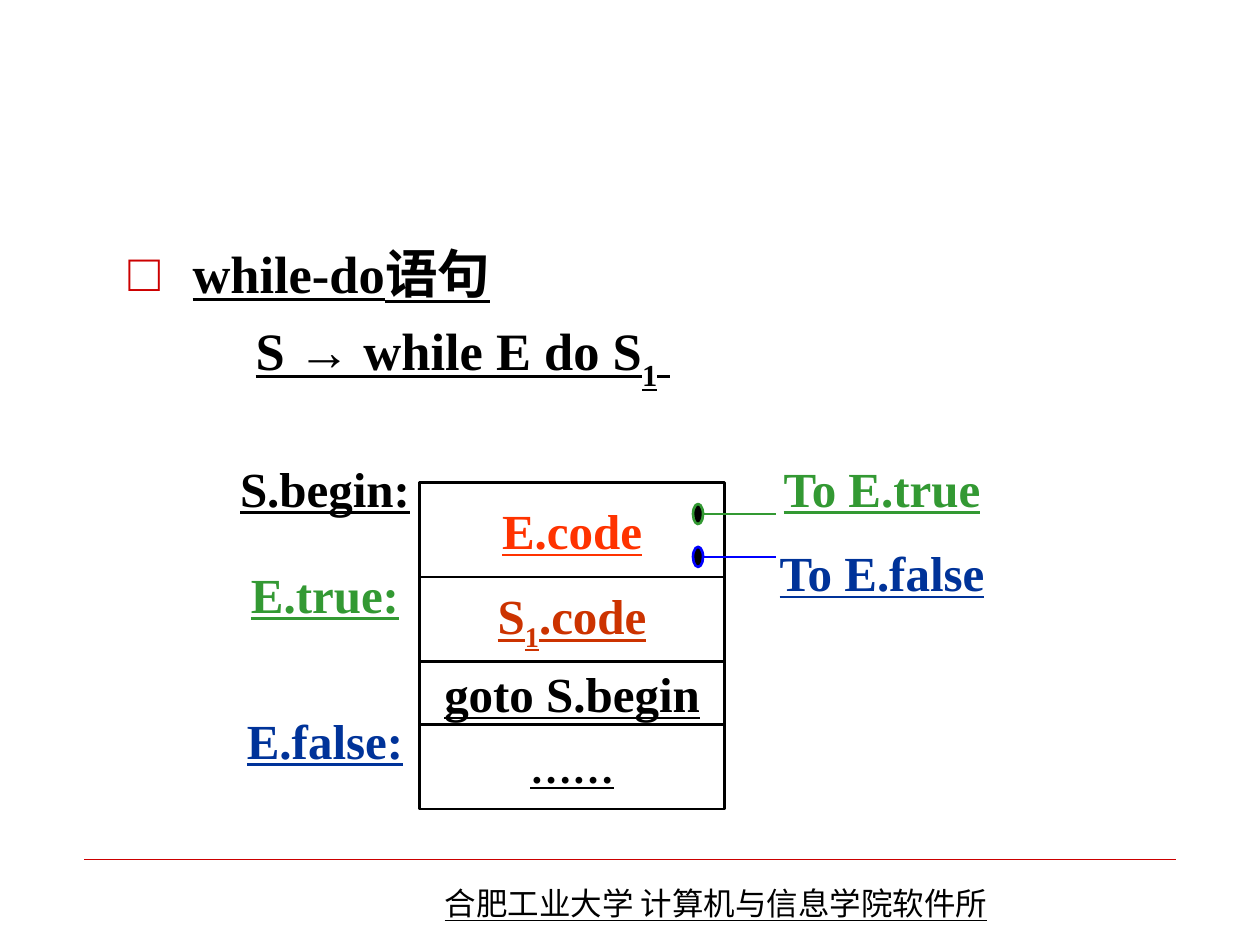
from lxml.etree import SubElement
from pptx import Presentation
from pptx.dml.color import RGBColor
from pptx.enum.shapes import MSO_CONNECTOR, MSO_SHAPE
from pptx.enum.text import MSO_ANCHOR, MSO_AUTO_SIZE, PP_ALIGN
from pptx.oxml.ns import qn
from pptx.util import Inches, Pt

LATIN_FONT = "Times New Roman"
CHINESE_FONT = "Noto Sans CJK SC"
BLACK, RED, GREEN, NAVY, BLUE = "000000", "CC0000", "339933", "003399", "0000FF"


def color(hex_string):
    return RGBColor.from_string(hex_string)


class SlideBuilder:
    def __init__(self, slide):
        self.slide = slide

    def format_paragraph(self, paragraph, size, hex_color, bold=True, font_name=LATIN_FONT):
        font = paragraph.font
        font.size = Pt(size)
        font.bold = bold
        font.underline = True
        font.name = font_name
        font.color.rgb = color(hex_color)
        east_asian = SubElement(font._element, qn("a:ea"))
        east_asian.set("typeface", CHINESE_FONT)

    def add_runs(self, paragraph, parts, subscript=-25):
        """Add text parts in turn; every second part is a subscript."""
        for index, part in enumerate(parts):
            run = paragraph.add_run()
            run.text = part
            if index % 2:
                run.font._element.set("baseline", str(subscript * 1000))

    def center_text(self, shape, parts, size, hex_color):
        frame = shape.text_frame
        frame.word_wrap = True
        frame.margin_left = frame.margin_right = 0
        frame.vertical_anchor = MSO_ANCHOR.MIDDLE
        paragraph = frame.paragraphs[0]
        paragraph.alignment = PP_ALIGN.CENTER
        self.add_runs(paragraph, parts)
        self.format_paragraph(paragraph, size, hex_color)

    def label(self, center, top, text, hex_color):
        width = 1.74
        box = self.slide.shapes.add_textbox(
            Inches(center - width / 2), Inches(top), Inches(width), Inches(0.58))
        self.center_text(box, [text], 28, hex_color)

    def code_block(self, top, height, parts, size, hex_color):
        block = self.slide.shapes.add_shape(
            MSO_SHAPE.RECTANGLE, Inches(3.33), Inches(top), Inches(2.42), Inches(height))
        block.shadow.inherit = False
        block.fill.background()
        block.line.color.rgb = color(BLACK)
        block.line.width = Pt(1.5)
        self.center_text(block, parts, size, hex_color)

    def line(self, shapes, left, right, y, hex_color, width):
        connector = shapes.add_connector(
            MSO_CONNECTOR.STRAIGHT, Inches(left), Inches(y), Inches(right), Inches(y))
        connector.line.color.rgb = color(hex_color)
        connector.line.width = Pt(width)
        SubElement(connector._element.spPr, qn("a:effectLst"))

    def jump(self, y, hex_color):
        """Draw a dot inside the code block with a line leading out of it."""
        shapes = self.slide.shapes.add_group_shape().shapes
        self.line(shapes, 5.58, 6.16, y, hex_color, 1.5)
        dot = shapes.add_shape(
            MSO_SHAPE.OVAL, Inches(5.5), Inches(y - 0.08), Inches(0.08), Inches(0.16))
        dot.shadow.inherit = False
        dot.fill.solid()
        dot.fill.fore_color.rgb = color(BLACK)
        dot.line.color.rgb = color(hex_color)
        dot.line.width = Pt(1.5)

    def statement(self):
        frame = self.slide.shapes.add_textbox(
            Inches(0.92), Inches(1.92), Inches(8.58), Inches(0.75)).text_frame
        frame.word_wrap = True
        heading, production = frame.paragraphs[0], frame.add_paragraph()
        production.space_before = Pt(7.6)
        self.add_runs(heading, ["while-do语句"])
        self.add_runs(production, ["\t\tS → while E do S", "1", " "], subscript=-30)
        for paragraph in (heading, production):
            paragraph.line_spacing = 0.9
            properties = paragraph._p.get_or_add_pPr()
            properties.set("marL", str(Inches(0.51)))
            properties.set("indent", str(-Inches(0.51)))
            if paragraph is heading:
                bullet_color = SubElement(properties, qn("a:buClr"))
                SubElement(bullet_color, qn("a:srgbClr")).set("val", RED)
                SubElement(properties, qn("a:buFont")).set("typeface", LATIN_FONT)
                SubElement(properties, qn("a:buChar")).set("char", "□")
            else:
                SubElement(properties, qn("a:buNone"))
                tabs = SubElement(properties, qn("a:tabLst"))
                tab = SubElement(tabs, qn("a:tab"))
                tab.set("pos", str(Inches(1.51)))
                tab.set("algn", "l")
            self.format_paragraph(paragraph, 30, BLACK)

    def footer(self, text):
        self.line(self.slide.shapes, 0.67, 9.33, 6.82, RED, 0.25)
        frame = self.slide.shapes.add_textbox(
            Inches(3.43), Inches(6.97), Inches(5.04), Inches(0.4)).text_frame
        frame.word_wrap = True
        frame.auto_size = MSO_AUTO_SIZE.SHAPE_TO_FIT_TEXT
        paragraph = frame.paragraphs[0]
        self.add_runs(paragraph, [text])
        self.format_paragraph(paragraph, 18, BLACK, bold=False, font_name=CHINESE_FONT)


def main():
    presentation = Presentation()
    presentation.slide_width = Inches(10)
    presentation.slide_height = Inches(7.5)
    builder = SlideBuilder(presentation.slides.add_slide(presentation.slide_layouts[6]))

    builder.footer("合肥工业大学 计算机与信息学院软件所")
    builder.statement()

    top = 3.83
    for height, parts, size, hex_color in (
        (0.75, ["E.code"], 28, "FF3300"),
        (0.67, ["S", "1", ".code"], 28, "CC3300"),
        (0.5, ["goto S.begin"], 28, BLACK),
        (0.67, ["……"], 24, BLACK),
    ):
        builder.code_block(top, height, parts, size, hex_color)
        top += height

    builder.jump(4.08, GREEN)
    builder.jump(4.42, BLUE)

    for center, label_top, text, hex_color in (
        (2.58, 3.58, "S.begin:", BLACK),
        (2.58, 4.42, "E.true:", GREEN),
        (2.58, 5.58, "E.false:", NAVY),
        (7, 3.58, "To E.true", GREEN),
        (7, 4.25, "To E.false", NAVY),
    ):
        builder.label(center, label_top, text, hex_color)

    presentation.save("out.pptx")


if __name__ == "__main__":
    main()
